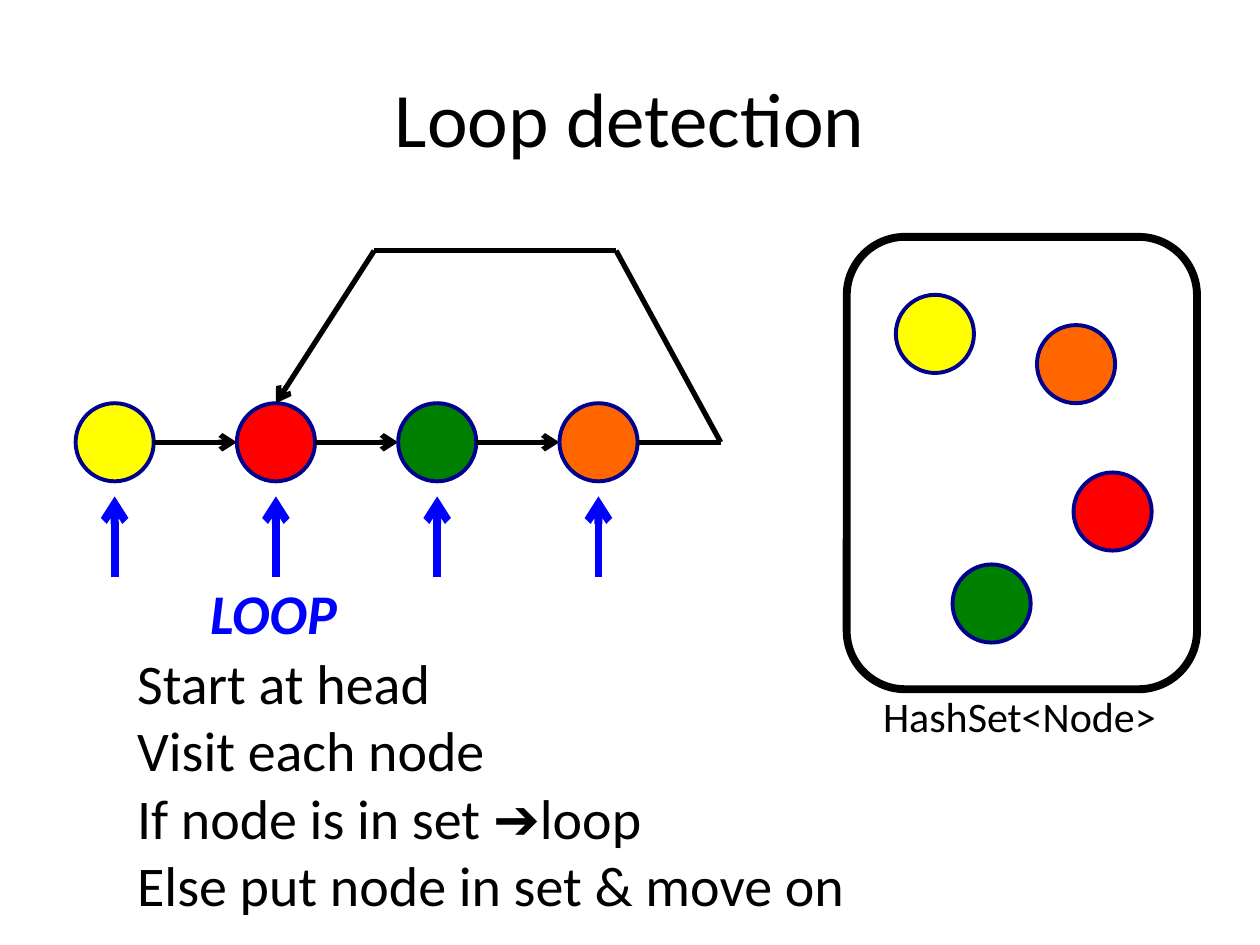
"""Build a slide showing loop detection in a linked list with a hash set."""
from dataclasses import dataclass

from lxml.etree import SubElement
from pptx import Presentation
from pptx.dml.color import RGBColor
from pptx.enum.shapes import MSO_CONNECTOR, MSO_SHAPE
from pptx.enum.text import MSO_ANCHOR, MSO_AUTO_SIZE, PP_ALIGN
from pptx.oxml.ns import qn
from pptx.util import Inches, Pt

BLACK = RGBColor(0x00, 0x00, 0x00)
WHITE = RGBColor(0xFF, 0xFF, 0xFF)
NAVY = RGBColor(0x00, 0x00, 0x90)
BLUE = RGBColor(0x00, 0x00, 0xFF)
YELLOW = RGBColor(0xFF, 0xFF, 0x00)
RED = RGBColor(0xFF, 0x00, 0x00)
GREEN = RGBColor(0x00, 0x80, 0x00)
ORANGE = RGBColor(0xFF, 0x66, 0x00)

FONT = "Calibri"
DIAMETER = 0.62
FIRST_LEFT = 0.6
PITCH = 1.28
LIST_TOP = 3.2
LIST_MIDDLE = LIST_TOP + DIAMETER / 2
LOOP_TOP = 1.99
LOOP_LEFT, LOOP_RIGHT = 2.97, 4.89
POINTER_TOP, POINTER_BOTTOM = 3.94, 4.58


@dataclass(frozen=True)
class Node:
    """A list node: its colour and its place inside the set."""
    color: RGBColor
    set_left: float
    set_top: float


@dataclass(frozen=True)
class Label:
    """A text box with one style."""
    lines: tuple[str, ...]
    left: float
    top: float
    width: float
    height: float
    size: int
    color: RGBColor = BLACK
    strong: bool = False


NODES = (
    Node(YELLOW, 7.11, 2.34),
    Node(RED, 8.52, 3.75),
    Node(GREEN, 7.56, 4.48),
    Node(ORANGE, 8.23, 2.58),
)
LABELS = (
    Label(("HashSet<Node>",), 6.91, 5.43, 2.39, 0.5, 24),
    Label(("Start at head", "Visit each node", "If node is in set ➔loop",
           "Else put node in set & move on"), 0.99, 5.1, 5.87, 2.26, 32),
    Label(("LOOP",), 1.57, 4.54, 1.34, 0.64, 32, BLUE, True),
)


def style_text(frame, size: int, color: RGBColor, strong: bool = False) -> None:
    """Format every run of a text frame."""
    for para in frame.paragraphs:
        for span in para.runs:
            span.font.name = FONT
            span.font.size = Pt(size)
            span.font.color.rgb = color
            if strong:
                span.font.bold = span.font.italic = True


def add_outline(page, kind, box: tuple[float, ...], fill: RGBColor,
                line: RGBColor, weight: float):
    """Add a filled and outlined preset shape."""
    shape = page.shapes.add_shape(kind, *map(Inches, box))
    shape.shadow.inherit = False
    shape.fill.solid()
    shape.fill.fore_color.rgb = fill
    shape.line.color.rgb = line
    shape.line.width = Pt(weight)
    return shape


def add_circle(page, left: float, top: float, color: RGBColor):
    """Add a node circle."""
    return add_outline(page, MSO_SHAPE.OVAL, (left, top, DIAMETER, DIAMETER),
                       color, NAVY, 2.25)


def add_line(page, start: tuple[float, float], end: tuple[float, float],
             color: RGBColor = BLACK, weight: float = 3, arrow: bool = True):
    """Add a straight line, with an arrowhead at its end if wanted."""
    connector = page.shapes.add_connector(
        MSO_CONNECTOR.STRAIGHT, *map(Inches, start + end))
    connector.line.color.rgb = color
    connector.line.width = Pt(weight)
    if arrow:
        SubElement(connector.line._get_or_add_ln(), qn("a:tailEnd"), type="arrow")
    SubElement(connector._element.spPr, qn("a:effectLst"))
    return connector


def add_label(page, label: Label) -> None:
    """Add a text box that keeps its lines unwrapped."""
    box = page.shapes.add_textbox(
        *map(Inches, (label.left, label.top, label.width, label.height)))
    frame = box.text_frame
    frame.text = "\n".join(label.lines)
    frame.word_wrap = False
    frame.auto_size = MSO_AUTO_SIZE.SHAPE_TO_FIT_TEXT
    style_text(frame, label.size, label.color, label.strong)


def add_title(page, text: str) -> None:
    """Place and format the title placeholder."""
    title = page.shapes.title
    title.left, title.top, title.width, title.height = map(
        Inches, (0.5, 0.3, 9, 1.25))
    frame = title.text_frame
    frame.text = text
    frame.vertical_anchor = MSO_ANCHOR.MIDDLE
    frame.paragraphs[0].alignment = PP_ALIGN.CENTER
    style_text(frame, 44, BLACK)


def add_list(page) -> None:
    """Draw the linked list, its pointers and the link that loops back."""
    circles = []
    for column, node in enumerate(NODES):
        left = FIRST_LEFT + column * PITCH
        center, right = left + DIAMETER / 2, left + DIAMETER
        circles.append(add_circle(page, left, LIST_TOP, node.color))
        is_last = column == len(NODES) - 1
        add_line(page, (right, LIST_MIDDLE), (left + PITCH, LIST_MIDDLE),
                 arrow=not is_last)
        add_line(page, (center, POINTER_BOTTOM), (center, POINTER_TOP), BLUE, 4.5)
    loop_end = FIRST_LEFT + len(NODES) * PITCH
    add_line(page, (loop_end, LIST_MIDDLE), (LOOP_RIGHT, LOOP_TOP), arrow=False)
    add_line(page, (LOOP_LEFT, LOOP_TOP), (LOOP_RIGHT, LOOP_TOP), arrow=False)
    back = add_line(page, (LOOP_LEFT, LOOP_TOP),
                    (FIRST_LEFT + PITCH + DIAMETER / 2, LIST_TOP))
    back.end_connect(circles[1], 0)


def add_set(page) -> None:
    """Draw the hash set and the nodes it holds."""
    add_outline(page, MSO_SHAPE.ROUNDED_RECTANGLE, (6.72, 1.88, 2.78, 3.59),
                WHITE, BLACK, 4.5)
    for node in NODES:
        add_circle(page, node.set_left, node.set_top, node.color)


def main() -> None:
    """Build and save the deck."""
    deck = Presentation()
    deck.slide_width, deck.slide_height = Inches(10), Inches(7.5)
    page = deck.slides.add_slide(deck.slide_layouts[5])
    add_title(page, "Loop detection")
    add_list(page)
    add_set(page)
    for label in LABELS:
        add_label(page, label)
    deck.save("out.pptx")


if __name__ == "__main__":
    main()
